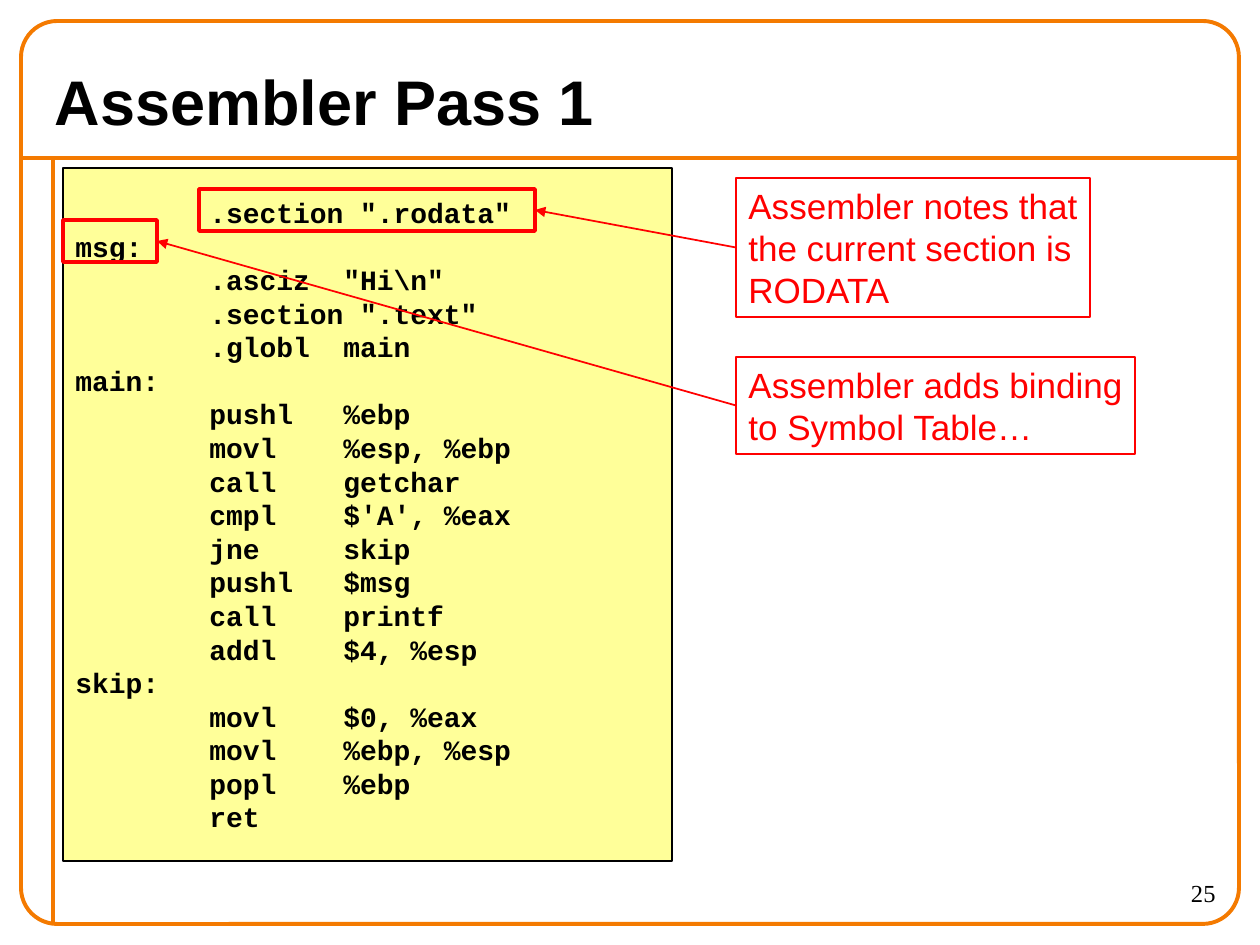
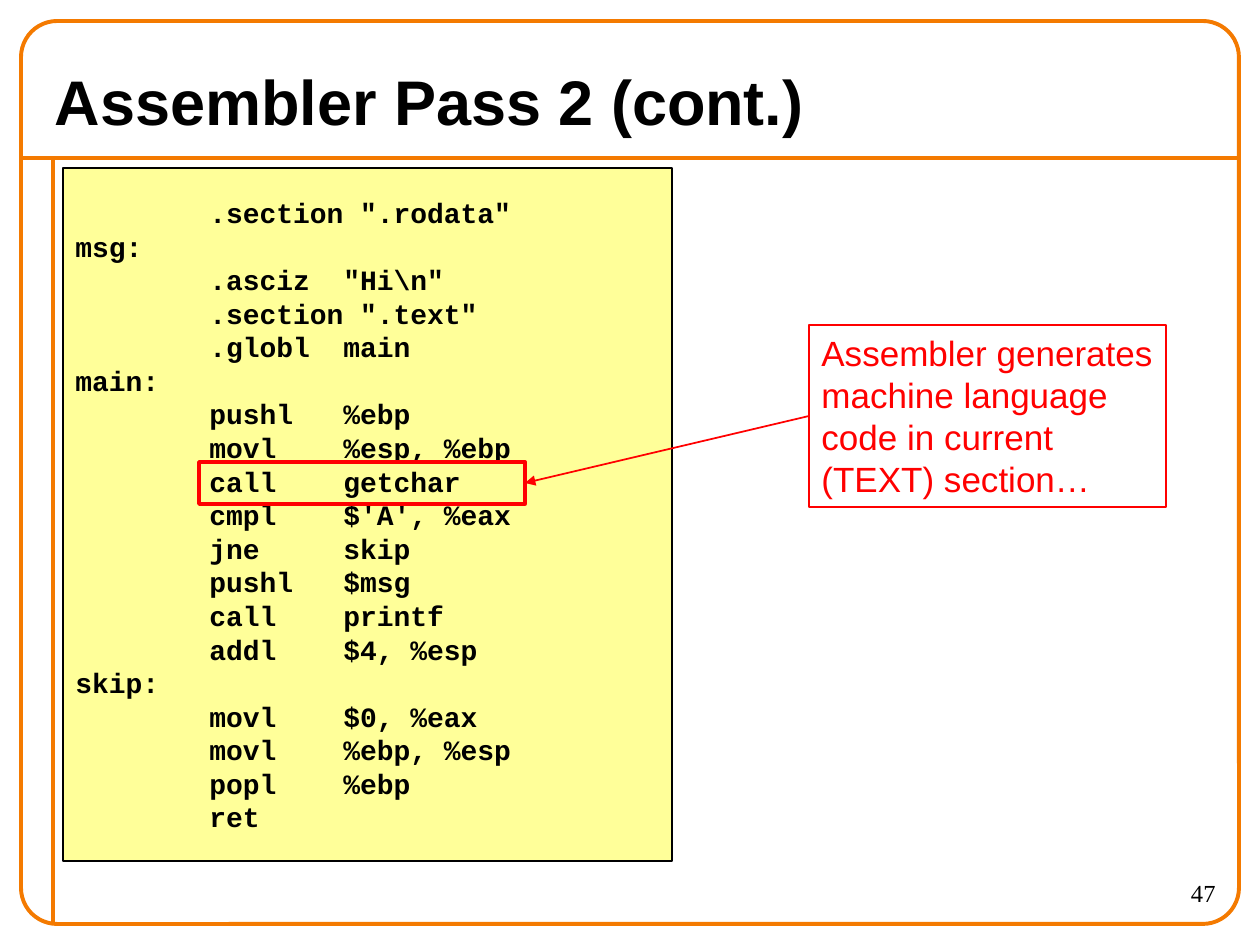
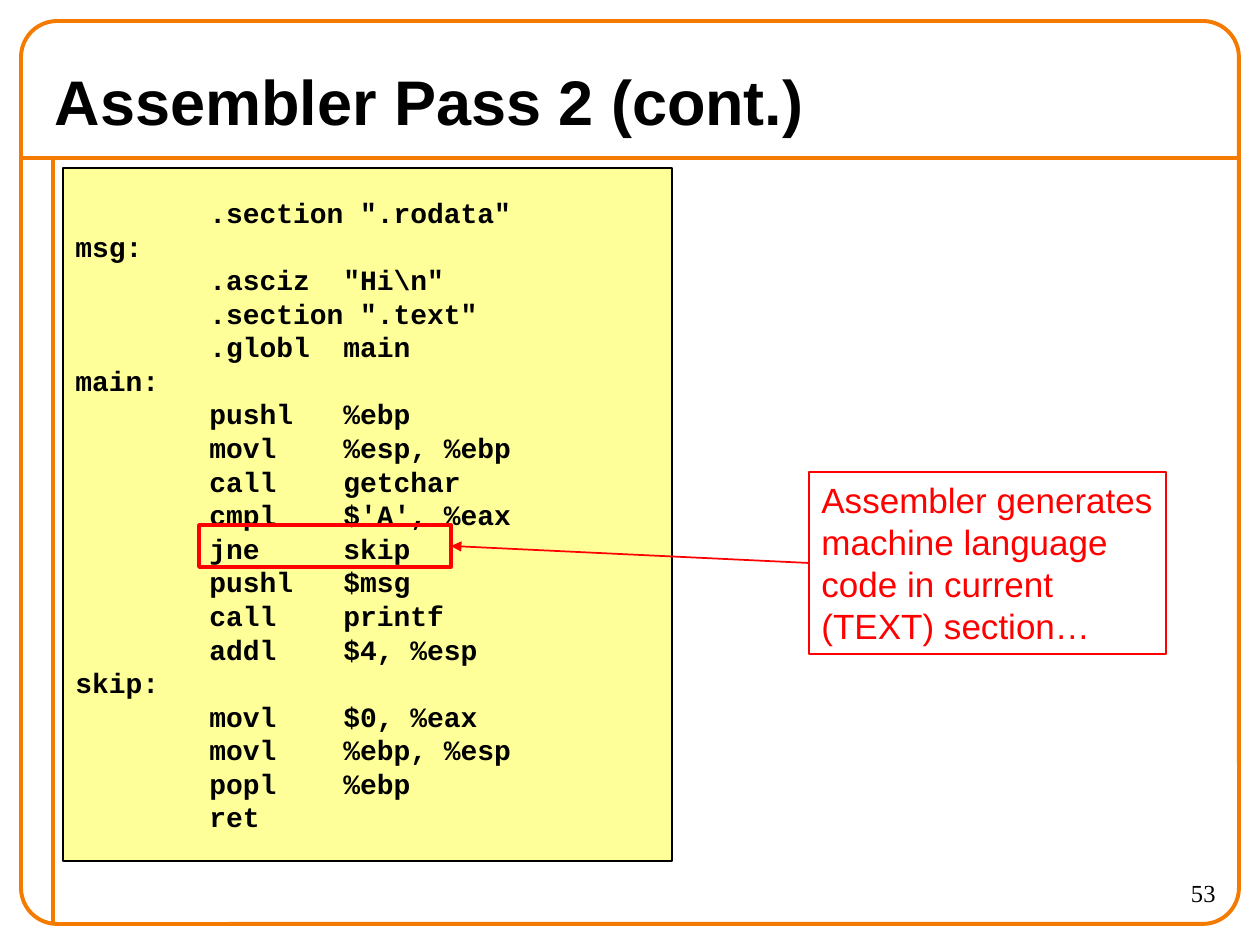
from pptx import Presentation
from pptx.dml.color import RGBColor
from pptx.enum.shapes import MSO_CONNECTOR as Link, MSO_SHAPE as Shape
from pptx.enum.text import MSO_ANCHOR as Anchor, MSO_AUTO_SIZE as Auto, PP_ALIGN as Align
from pptx.oxml.ns import qn
from pptx.util import Pt
from lxml.etree import SubElement

SCALE = 914400 / 126
COLORS = {"orange": "F47A00", "black": "000000", "yellow": "FFFF99", "red": "FF0000"}
PAGE = (1260, 945)
TITLE = (42, 53, 1176, 94)
NUMBER = (1102, 872, 126, 53)
PANEL = (63, 168, 609, 693)
MARK_H = 42
TEXT, LEFT, RIGHT = 8, 1, 3

CODE = r"""
        .section ".rodata"
msg:
        .asciz  "Hi\n"
        .section ".text"
        .globl  main
main:
        pushl   %ebp
        movl    %esp, %ebp
        call    getchar
        cmpl    $'A', %eax
        jne     skip
        pushl   $msg
        call    printf
        addl    $4, %esp
skip:
        movl    $0, %eax
        movl    %ebp, %esp
        popl    %ebp
        ret
""".strip("\n").split("\n")

MACHINE = ["Assembler generates", "machine language", "code in current", "(TEXT) section…"]

# Each step: mark (x, y, width) inside the code panel, note box, note paragraphs
SLIDES = [
    ("Assembler Pass 1", 25, [
        ((0, 52, 94), (736, 357, 399, 97),
         ["Assembler adds binding\nto Symbol Table…"]),
        ((136, 21, 336), (736, 178, 354, 139),
         ["Assembler notes that\nthe current section is\nRODATA"]),
    ]),
    ("Assembler Pass 2 (cont.)", 47, [((136, 294, 326), (809, 325, 357, 182), MACHINE)]),
    ("Assembler Pass 2 (cont.)", 53, [((136, 357, 252), (809, 472, 357, 182), MACHINE)]),
]


def emu(*sizes):
    return [round(size * SCALE) for size in sizes]


def color(name):
    return RGBColor.from_string(COLORS[name])


def write(shape, lines, size, font="Arial", ink="black", bold=False,
          align=Align.LEFT, anchor=Anchor.TOP, wrap=True):
    """Fill a shape with one paragraph per line, all in one format."""
    frame = shape.text_frame
    frame.auto_size = Auto.NONE
    frame.word_wrap = wrap
    frame.vertical_anchor = anchor
    for i, line in enumerate(lines):
        para = frame.add_paragraph() if i else frame.paragraphs[0]
        para.text = line
        para.alignment = align
        for run in para.runs:
            run.font.name = font
            run.font.size = Pt(size)
            run.font.bold = bold
            run.font.color.rgb = color(ink)


def box(slide, area, ink, width, fill=None, kind=Shape.RECTANGLE):
    shape = slide.shapes.add_shape(kind, *emu(*area))
    shape.shadow.inherit = False
    if fill:
        shape.fill.solid()
        shape.fill.fore_color.rgb = color(fill)
    else:
        shape.fill.background()
    shape.line.color.rgb = color(ink)
    shape.line.width = Pt(width)
    return shape


def rule(slide, ends, ink, width):
    line = slide.shapes.add_connector(Link.STRAIGHT, *emu(*ends))
    line.line.color.rgb = color(ink)
    line.line.width = Pt(width)
    SubElement(line._element.spPr, qn("a:effectLst"))
    return line


def arrow(slide, start, end):
    """Point from the left side of one box to the right side of another."""
    line = rule(slide, (0, 0, 0, 0), "red", 1)
    line.begin_connect(start, LEFT)
    line.end_connect(end, RIGHT)
    SubElement(line.line._get_or_add_ln(), qn("a:tailEnd"), type="triangle", w="med", len="med")


def border(slide, area):
    x, y, w, h = area
    bar = y + 137
    rule(slide, (x, bar, x + w, bar), "orange", 2.25)
    rule(slide, (x + 32, bar, x + 32, y + h), "orange", 2.25)
    edge = box(slide, area, "orange", 2.25, kind=Shape.ROUNDED_RECTANGLE)
    edge.adjustments[0] = 0.04


def heading(slide, text, page):
    title = slide.shapes.title
    title.left, title.top, title.width, title.height = emu(*TITLE)
    write(title, [text], 36, bold=True, anchor=Anchor.MIDDLE)
    number = slide.shapes.add_textbox(*emu(*NUMBER))
    write(number, [str(page)], 14, font="Times New Roman", align=Align.RIGHT)


def listing(slide, area, steps):
    """Draw the code panel, then a mark, a note and an arrow for each step."""
    panel = box(slide, area, "black", 1, fill="yellow")
    write(panel, CODE, 16, font="Courier New", bold=True, anchor=Anchor.MIDDLE)
    for (x, y, w), place, lines in steps:
        mark = box(slide, (area[0] + x, area[1] + y, w, MARK_H), "red", 2)
        note = box(slide, place, "red", 1)
        write(note, lines, 20, ink="red", wrap=False)
        arrow(slide, note, mark)


def main():
    deck = Presentation()
    deck.slide_width, deck.slide_height = emu(*PAGE)
    for title, page, steps in SLIDES:
        slide = deck.slides.add_slide(deck.slide_layouts[5])
        border(slide, (21, 21, 1218, 903))
        heading(slide, title, page)
        listing(slide, PANEL, steps)
    deck.save("out.pptx")


if __name__ == "__main__":
    main()
